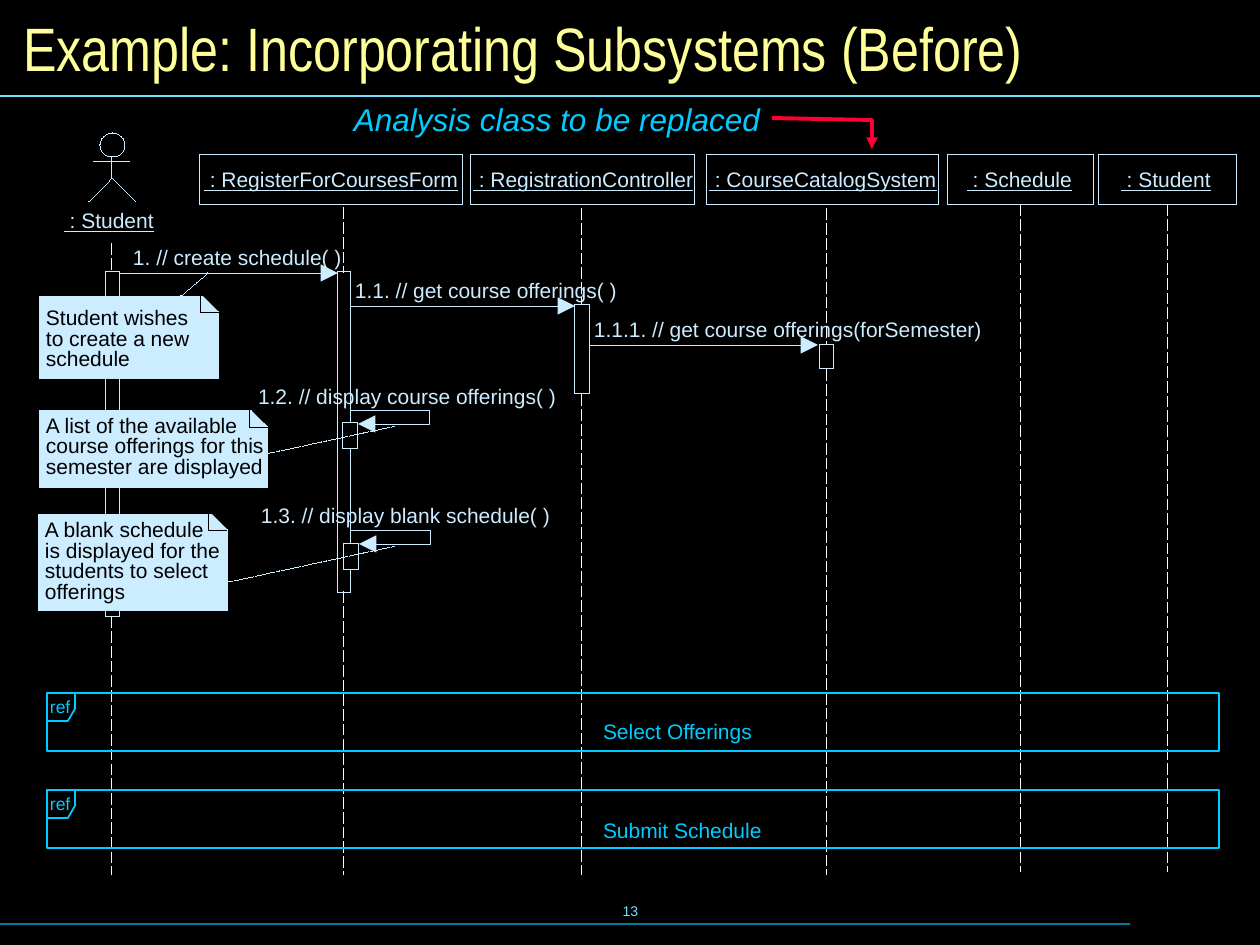
from pptx import Presentation
from pptx.dml.color import RGBColor
from pptx.enum.dml import MSO_LINE
from pptx.enum.shapes import MSO_CONNECTOR, MSO_SHAPE
from pptx.enum.text import MSO_ANCHOR, PP_ALIGN
from pptx.oxml.ns import qn
from pptx.util import Pt
from lxml import etree

RECT, OVAL = MSO_SHAPE.RECTANGLE, MSO_SHAPE.OVAL
STRAIGHT = MSO_CONNECTOR.STRAIGHT
LONG_DASH, SHORT_DASH = MSO_LINE.LONG_DASH, MSO_LINE.SQUARE_DOT
LEFT, CENTER = PP_ALIGN.LEFT, PP_ALIGN.CENTER
TOP, MIDDLE = MSO_ANCHOR.TOP, MSO_ANCHOR.MIDDLE
BOTTOM_SIDE = 2
PX = 914400 / 126
COLORS = {"black": "000000", "white": "FFFFFF", "pale": "CCECFF", "cyan": "00CCFF",
          "yellow": "FFFF99", "red": "FF0033", "rule": "73E1FF", "foot": "007E9F"}

# Content, all lengths in px
TITLE = "Example: Incorporating Subsystems (Before)"
CALLOUT = "Analysis class to be replaced"
PAGE_NUMBER = "13"
HEAD_TOP, HEAD_HEIGHT = 155, 50
# name, head left, head width, label left, lifeline x, lifeline pieces
OBJECTS = [
    (" : RegisterForCoursesForm", 200, 263, 204, 344, [(208, 273), (592, 875)]),
    (" : RegistrationController", 471, 224, 473, 582, [(209, 305), (395, 875)]),
    (" : CourseCatalogSystem", 707, 232, 709, 827, [(209, 345), (370, 875)]),
    (" : Schedule", 948, 146, 967, 1021, [(205, 872)]),
    (" : Student", 1099, 138, 1121, 1168, [(205, 872)]),
]
ACTOR_X, ACTOR_PIECES = 112, [(244, 272), (617, 875)]
ACTIVATIONS = [(106, 272, 14, 345), (575, 305, 15, 89), (820, 345, 14, 24),
               (343, 423, 15, 26), (344, 544, 15, 26)]
FORM_BAR = [(351, 423), (351, 272), (338, 272), (338, 592), (351, 592), (351, 571)]
# text, label left, label top, label width, arrow start x, arrow end x, arrow y
MESSAGES = [
    ("1. // create schedule( )", 133, 245, 209, 120, 338, 273),
    ("1.1. // get course offerings( )", 355, 278, 263, 351, 575, 306),
    ("1.1.1. // get course offerings(forSemester)", 594, 317, 389, 590, 818, 345),
]
# text, label left, label top, label width, loop left, loop top
SELF_MESSAGES = [
    ("1.2. // display course offerings( )", 258, 384, 299, 350, 410),
    ("1.3. // display blank schedule( )", 261, 503, 290, 351, 530),
]
# lines, left, top, width, height, text top, connector from and to
NOTES = [
    (["Student wishes", "to create a new", "schedule"],
     40, 296, 179, 82, 309, (181, 296), (208, 273)),
    (["A list of the available", "course offerings for this", "semester are displayed"],
     40, 411, 228, 77, 417, (229, 462), (396, 426)),
    (["A blank schedule", "is displayed for the", "students to select", "offerings"],
     39, 514, 189, 96, 521, (229, 582), (396, 546)),
]
FOLD = 16
REFERENCES = [("Select Offerings", 693, 721), ("Submit Schedule", 790, 820)]

deck = Presentation()
deck.slide_width, deck.slide_height = round(1260 * PX), round(945 * PX)
page = deck.slides.add_slide(deck.slide_layouts[6])


def color(name):
    return RGBColor.from_string(COLORS[name])


def emu(*lengths):
    return [round(length * PX) for length in lengths]


def style_line(item, name, width=0, dash=None, head=None):
    item.line.color.rgb = color(name)
    outline = item.line._get_or_add_ln()
    # Written directly: a hairline needs an explicit width of zero
    outline.set("w", str(int(Pt(width))))
    if dash:
        item.line.dash_style = dash
    if head:
        etree.SubElement(outline, qn("a:tailEnd"), type="triangle", w=head, len=head)


def add_line(start, end, name="pale", width=0, dash=None, head=None):
    line = page.shapes.add_connector(STRAIGHT, *emu(*start, *end))
    style_line(line, name, width, dash, head)
    etree.SubElement(line._element.spPr, qn("a:effectLst"))
    return line


def style_shape(shape, name, width, fill, head=None):
    shape.shadow.inherit = False
    if fill:
        shape.fill.solid()
        shape.fill.fore_color.rgb = color(fill)
    else:
        shape.fill.background()
    style_line(shape, name, width, head=head)
    return shape


def add_box(kind, area, name="pale", width=0):
    return style_shape(page.shapes.add_shape(kind, *emu(*area)), name, width, None)


def add_outline(points, name="pale", width=0, fill=None, head=None, close=False):
    builder = page.shapes.build_freeform(*points[0], scale=PX)
    builder.add_line_segments(points[1:], close=close)
    return style_shape(builder.convert_to_shape(), name, width, fill, head)


def add_text(lines, area, name="pale", size=12, font="Arial", align=LEFT, anchor=TOP,
             inset=(0, 0), wrap=False, spacing=None, underline=None, italic=None):
    box = page.shapes.add_textbox(*emu(*area))
    frame = box.text_frame
    frame.word_wrap, frame.vertical_anchor = wrap, anchor
    frame.margin_left = frame.margin_right = round(inset[0] * PX)
    frame.margin_top = frame.margin_bottom = round(inset[1] * PX)
    frame.text = "\n".join(lines)
    for para in frame.paragraphs:
        para.alignment = align
        if spacing:
            para.line_spacing = Pt(spacing)
        for span in para.runs:
            span.font.name, span.font.size = font, Pt(size)
            span.font.color.rgb = color(name)
            span.font.underline, span.font.italic = underline, italic


# Background, rules, title and page number
page.background.fill.solid()
page.background.fill.fore_color.rgb = color("black")
add_line((0, 924), (1130, 924), "foot", 0.75)
add_line((0, 96), (1260, 96), "rule", 0.75)
add_text([PAGE_NUMBER], (431, 879, 399, 63), "rule", 8, align=CENTER, anchor=MIDDLE,
         inset=(13, 6))
add_text([TITLE], (10, 11, 1240, 73), "yellow", 35, "Arial Narrow", anchor=MIDDLE,
         inset=(13, 6), wrap=True)

# Actor
add_box(OVAL, (100, 133, 25, 24))
add_line((ACTOR_X, 157), (ACTOR_X, 178))
add_line((94, 162), (130, 162))
add_outline([(89, 202), (ACTOR_X, 178), (136, 202)])
add_text([" : Student"], (64, 208, 90, 25), underline=True)
for top, bottom in ACTOR_PIECES:
    add_line((ACTOR_X, top), (ACTOR_X, bottom), "white", dash=LONG_DASH)

# Objects and their lifelines
for label, left, width, label_left, x, pieces in OBJECTS:
    head_box = add_box(RECT, (left, HEAD_TOP, width, HEAD_HEIGHT))
    add_text([label], (label_left, 167, left + width - label_left, 25), underline=True)
    for top, bottom in pieces:
        lifeline = add_line((x, top), (x, bottom), "white", dash=LONG_DASH)
        if top == HEAD_TOP + HEAD_HEIGHT:
            lifeline.begin_connect(head_box, BOTTOM_SIDE)

# Activation bars
for area in ACTIVATIONS:
    add_box(RECT, area)
add_outline(FORM_BAR)
add_line((351, 449), (351, 543))

# Messages
for label, left, top, width, start, end, y in MESSAGES:
    add_line((start, y), (end, y), head="lg")
    add_text([label], (left, top, width, 25))
for label, left, top, width, x, y in SELF_MESSAGES:
    add_outline([(x, y), (x + 79, y), (x + 79, y + 14), (x + 8, y + 14)], width=0.25, head="lg")
    add_text([label], (left, top, width, 25))

# Notes with folded corners
for lines, left, top, width, height, text_top, start, end in NOTES:
    right, bottom = left + width, top + height
    add_line(start, end, dash=SHORT_DASH)
    add_outline([(left, top), (right - FOLD, top), (right, top + FOLD), (right, bottom),
                 (left, bottom)], fill="pale", close=True)
    add_outline([(right - FOLD - 3, top), (right - FOLD - 3, top + FOLD),
                 (right - 1, top + FOLD)], "black", fill="pale")
    add_text(lines, (left + 6, text_top, width - 6, 21 * len(lines)), "black", spacing=11.8)

# Callout
add_text([CALLOUT], (335, 94, 444, 50), "cyan", 18, align=CENTER, inset=(13, 6), wrap=True,
         italic=True)
add_outline([(772, 118), (872, 120), (872, 149)], "red", 2.25, head="med")

# Reference frames
for label, top, label_top in REFERENCES:
    add_box(RECT, (47, top, 1172, 58), "cyan", 1)
    add_outline([(47, top), (75, top), (75, top + 16), (68, top + 28), (47, top + 28)],
                "cyan", 1, close=True)
    add_text(["ref"], (50, top + 1, 26, 23), "cyan", 10, spacing=13)
    add_text([label], (603, label_top, 160, 23), "cyan", spacing=13)

deck.save("out.pptx")
